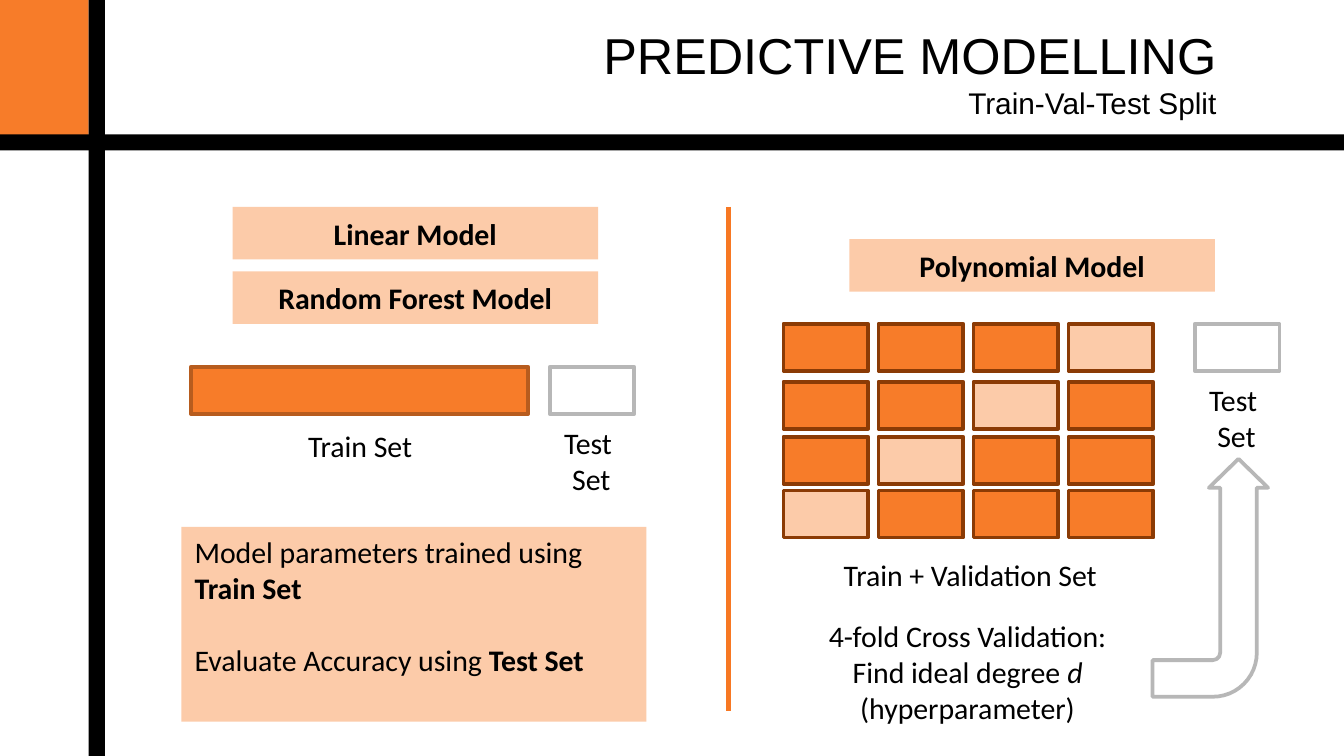
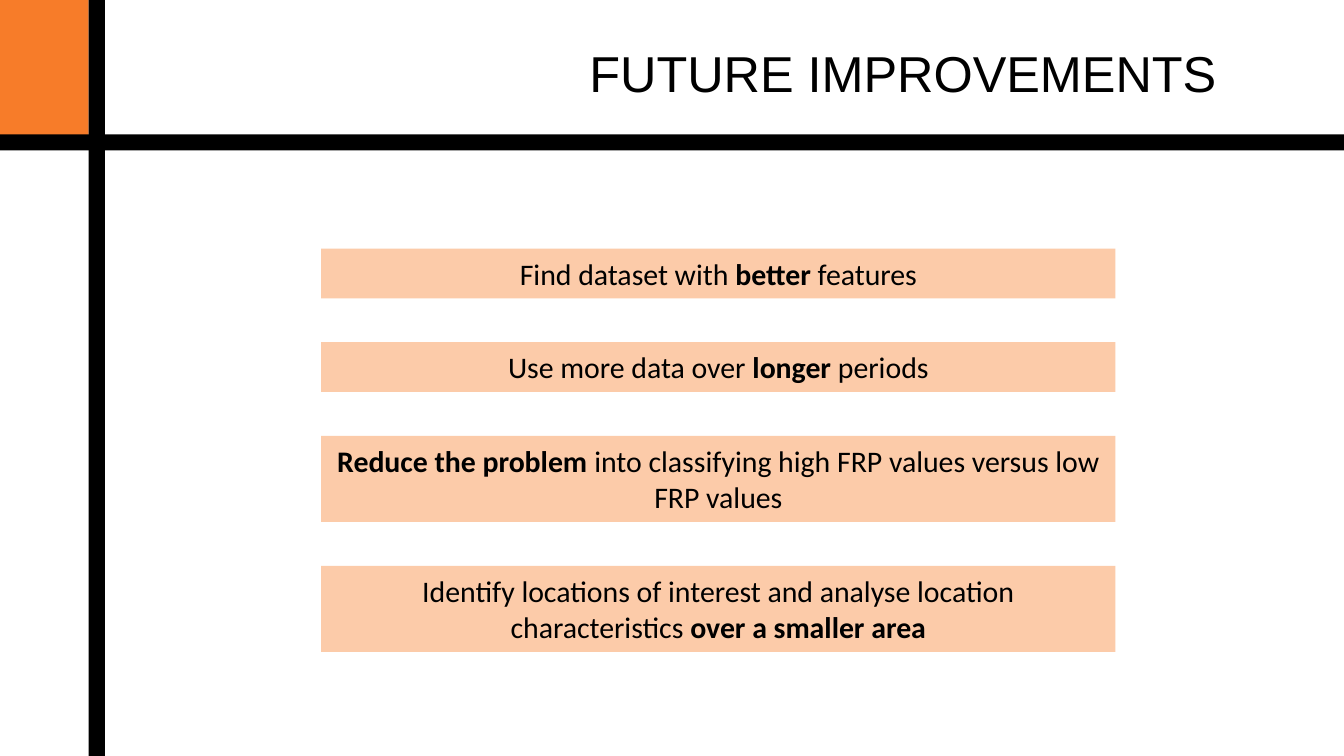
from lxml import etree
from pptx import Presentation
from pptx import util as u
from pptx.dml import color
from pptx.enum import shapes, text
from pptx.oxml import ns

WIDTH, HEIGHT = 100, 56.25
CELL = u.Inches(0.1)

ORANGE, PEACH = "F77C29", "FCCBA9"
BROWN, RUST, DIVIDER = "8B3B05", "B75C1E", "F77823"
BLACK, WHITE, GREY = "000000", "FFFFFF", "B7B7B7"
BODY_FONT, TITLE_FONT = "Calibri", "Arial"
BODY_SIZE, TITLE_SIZE, SUBTITLE_SIZE = 16, 27, 16
BLOCK = (6.3, 3.5)
LEFT, CENTER, RIGHT = text.PP_ALIGN.LEFT, text.PP_ALIGN.CENTER, text.PP_ALIGN.RIGHT
TOP, MIDDLE = text.MSO_ANCHOR.TOP, text.MSO_ANCHOR.MIDDLE


def rgb(value):
    return color.RGBColor.from_string(value)


def cells(*lengths):
    return [u.Emu(round(length * CELL)) for length in lengths]


def bold(words):
    return words, "bold"


def italic(words):
    return words, "italic"


def add_block(page, place, fill, line=None, kind=shapes.MSO_SHAPE.RECTANGLE):
    block = page.shapes.add_shape(kind, *cells(*place))
    block.shadow.inherit = False
    block.fill.solid()
    block.fill.fore_color.rgb = rgb(fill)
    if line:
        block.line.color.rgb = rgb(line)
        block.line.width = u.Pt(2)
    else:
        block.line.fill.background()
    return block


def style_para(para, align, size, font):
    para.alignment = align
    para.font.size = u.Pt(size)
    para.font.name = font
    para.font.color.rgb = rgb(BLACK)


def write(box, paras, align=CENTER, anchor=TOP, gap=0, font=BODY_FONT, sizes=None):
    frame = box.text_frame
    frame.word_wrap = True
    frame.vertical_anchor = anchor
    for index, spans in enumerate(paras):
        para = frame.paragraphs[0] if index == 0 else frame.add_paragraph()
        if index and gap:
            para.space_before = u.Pt(gap)
        style_para(para, align, sizes[index] if sizes else BODY_SIZE, font)
        for span in spans:
            words, style = span if isinstance(span, tuple) else (span, None)
            run = para.add_run()
            run.text = words
            if style:
                setattr(run.font, style, True)


def add_text(page, place, *paras, **options):
    box = page.shapes.add_textbox(*cells(*place))
    write(box, paras, **options)
    return box


def add_panel(page, place, *paras, **options):
    write(add_block(page, place, PEACH), paras, **options)


def add_model_label(page, left, top, name):
    add_panel(page, (left, top, 27.2, 3.9), [bold(name)], anchor=MIDDLE)


def add_test_set(page, left, top, label_left, label_top):
    add_block(page, (left, top, *BLOCK), WHITE, GREY)
    add_text(page, (label_left, label_top, 6.8, 6.4), ["Test "], ["Set"])


def add_divider(page, left, top, bottom):
    divider = page.shapes.add_connector(
        shapes.MSO_CONNECTOR.STRAIGHT, *cells(left, top, left, bottom))
    divider.line.color.rgb = rgb(DIVIDER)
    divider.line.width = u.Pt(3)
    etree.SubElement(divider._element.spPr, ns.qn("a:effectLst"))


def add_folds(page):
    for row, top in enumerate((24.1, 28.4, 32.5, 36.5)):
        for column in range(4):
            fill = PEACH if row + column == 3 else ORANGE
            add_block(page, (58.3 + 7.07 * column, top, *BLOCK), fill, BROWN)


def add_arrow_to_test(page):
    arrow = add_block(page, (81.2, 38.7, 17.7, 8.6), WHITE, GREY,
                      shapes.MSO_SHAPE.BENT_ARROW)
    for index, value in enumerate((0.317, 0.256, 0.25, 0.381)):
        arrow.adjustments[index] = value
    arrow.rotation = 270
    arrow._element.spPr.find(ns.qn("a:xfrm")).set("flipV", "1")


def add_page(deck, *titles):
    page = deck.slides.add_slide(deck.slide_layouts[6])
    add_block(page, (0, 0, 6.6, 10.3), ORANGE)
    add_block(page, (0, 10, WIDTH, 1.2), BLACK)
    add_block(page, (6.6, 0, 1.2, HEIGHT), BLACK)
    title = add_text(page, (8.4, 4.1, 83.1, 2.6), *[[line] for line in titles],
                     align=RIGHT, anchor=MIDDLE, font=TITLE_FONT,
                     sizes=(TITLE_SIZE, SUBTITLE_SIZE))
    title.text_frame.margin_top = title.text_frame.margin_bottom = CELL
    return page


def add_split_page(deck):
    page = add_page(deck, "PREDICTIVE MODELLING", "Train-Val-Test Split")

    add_model_label(page, 17.3, 15.4, "Linear Model")
    add_model_label(page, 17.3, 20.2, "Random Forest Model")
    add_block(page, (14.2, 27.3, 25.1, 3.5), ORANGE, RUST)
    add_text(page, (19.6, 31.3, 14.4, 3.7), ["Train Set"])
    add_test_set(page, 40.9, 27.3, 40.6, 31.1)
    add_panel(page, (13.5, 39.2, 34.6, 14.5),
              ["Model parameters trained using ", bold("Train Set")],
              ["Evaluate Accuracy using ", bold("Test Set")],
              align=LEFT, gap=19.5)

    add_divider(page, 54.2, 15.4, 52.9)

    add_model_label(page, 63.2, 17.8, "Polynomial Model")
    add_folds(page)
    add_text(page, (58.6, 40.9, 27.2, 3.7), ["Train + Validation Set"])
    add_text(page, (58.3, 45.5, 27.4, 9.1),
             ["4-fold Cross Validation:"],
             ["Find ideal degree ", italic("d")],
             ["(hyperparameter)"])
    add_test_set(page, 88.9, 24.1, 88.6, 27.9)
    add_arrow_to_test(page)


def add_improvements_page(deck):
    page = add_page(deck, "FUTURE IMPROVEMENTS")
    improvements = (
        (3.7, ["Find dataset with ", bold("better"), " features"]),
        (3.7, ["Use more data over ", bold("longer"), " periods"]),
        (6.4, [bold("Reduce the problem "),
               "into classifying high FRP values versus low FRP values"]),
        (6.4, ["Identify locations of interest and analyse location characteristics ",
               bold("over a smaller area")]),
    )
    top = 18.5
    for height, spans in improvements:
        add_panel(page, (23.9, top, 59.1, height), spans)
        top += height + 3.27


def main():
    deck = Presentation()
    deck.slide_width, deck.slide_height = cells(WIDTH, HEIGHT)
    add_split_page(deck)
    add_improvements_page(deck)
    deck.save("out.pptx")


if __name__ == "__main__":
    main()
